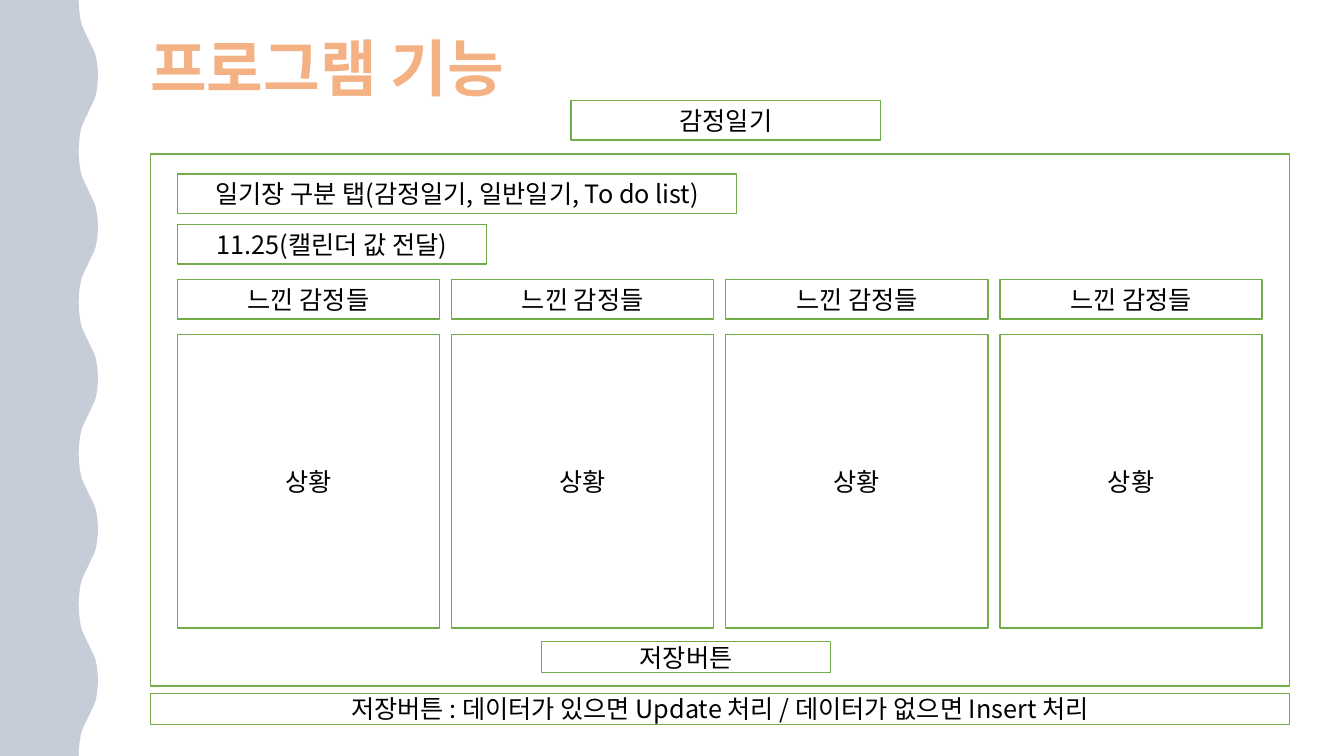
from lxml.etree import SubElement
from pptx import Presentation
from pptx.dml.color import RGBColor
from pptx.enum.shapes import MSO_SHAPE
from pptx.enum.text import MSO_ANCHOR, MSO_AUTO_SIZE, PP_ALIGN
from pptx.oxml.ns import qn
from pptx.util import Pt

FONT = "Noto Sans CJK KR"
ORANGE = RGBColor(0xF4, 0xB1, 0x83)
NAVY = RGBColor(0x20, 0x38, 0x64)
GREEN = RGBColor(0x70, 0xAD, 0x47)
WHITE = RGBColor(0xFF, 0xFF, 0xFF)
BLACK = RGBColor(0x00, 0x00, 0x00)


def write(tf, text, size=18, color=BLACK, bold=False, align=PP_ALIGN.CENTER,
          anchor=MSO_ANCHOR.MIDDLE, spacing=1.0):
    tf.word_wrap = True
    tf.auto_size = MSO_AUTO_SIZE.NONE
    tf.vertical_anchor = anchor
    p = tf.paragraphs[0]
    p.alignment = align
    p.line_spacing = spacing
    r = p.add_run()
    r.text = text
    r.font.name = FONT
    r.font.size = Pt(size)
    r.font.bold = bold
    r.font.color.rgb = color
    SubElement(r.font._element, qn("a:ea"), typeface=FONT)


def add_box(left, top, width, height, text=""):
    sp = slide.shapes.add_shape(MSO_SHAPE.RECTANGLE, Pt(left), Pt(top), Pt(width), Pt(height))
    sp.shadow.inherit = False
    sp.fill.solid()
    sp.fill.fore_color.rgb = WHITE
    sp.line.color.rgb = GREEN
    sp.line.width = Pt(1)
    if text:
        write(sp.text_frame, text)


prs = Presentation()
prs.slide_width, prs.slide_height = Pt(960), Pt(540)
slide = prs.slides.add_slide(prs.slide_layouts[5])

# Title
title = slide.shapes.title
title.left, title.top, title.width, title.height = Pt(100.1), Pt(23.8), Pt(799.2), Pt(117.4)
write(title.text_frame, "프로그램 기능", size=44, color=ORANGE, bold=True,
      align=PP_ALIGN.LEFT, anchor=MSO_ANCHOR.TOP, spacing=0.9)

# Wavy band: each wave swells over half its length, then mirrors back
WAVE_LENGTH = 108
swell = [(56.2, 0), (56.4, 5), (56.9, 10), (57.6, 14.4), (58.5, 18),
         (59.8, 21), (61.2, 24), (62.7, 27), (64.1, 30), (65.5, 33),
         (67, 36), (68.3, 39.5), (69.2, 44), (69.8, 49), (70, 54)]
wave = swell + [(x, WAVE_LENGTH - y) for x, y in reversed(swell[:-1])]
edge = [(Pt(x), Pt(y + i * WAVE_LENGTH)) for i in range(5) for x, y in wave]
builder = slide.shapes.build_freeform(0, 0)
builder.add_line_segments(edge + [(0, Pt(540))], close=True)
band = builder.convert_to_shape()
band.shadow.inherit = False
band.fill.solid()
band.fill.fore_color.rgb = NAVY
band.line.fill.background()
SubElement(band._element.spPr.find(".//" + qn("a:srgbClr")), qn("a:alpha"), val="25000")

# Diary screen
add_box(107.5, 110, 813.5, 380)
add_box(408, 71.8, 221, 28.2, "감정일기")
add_box(126.7, 124.3, 399.6, 28.2, "일기장 구분 탭(감정일기, 일반일기, To do list)")
add_box(126.7, 160.3, 221, 28.2, "11.25(캘린더 값 전달)")
for col in range(4):
    left = 126.7 + col * 195.85
    add_box(left, 199.6, 187.3, 28.2, "느낀 감정들")
    add_box(left, 239, 187.3, 209.6, "상황")
add_box(386.8, 458.2, 206.6, 22.2, "저장버튼")
add_box(107.5, 495.2, 813.5, 22.2,
        "저장버튼 : 데이터가 있으면 Update 처리 / 데이터가 없으면 Insert 처리")

prs.save("out.pptx")
